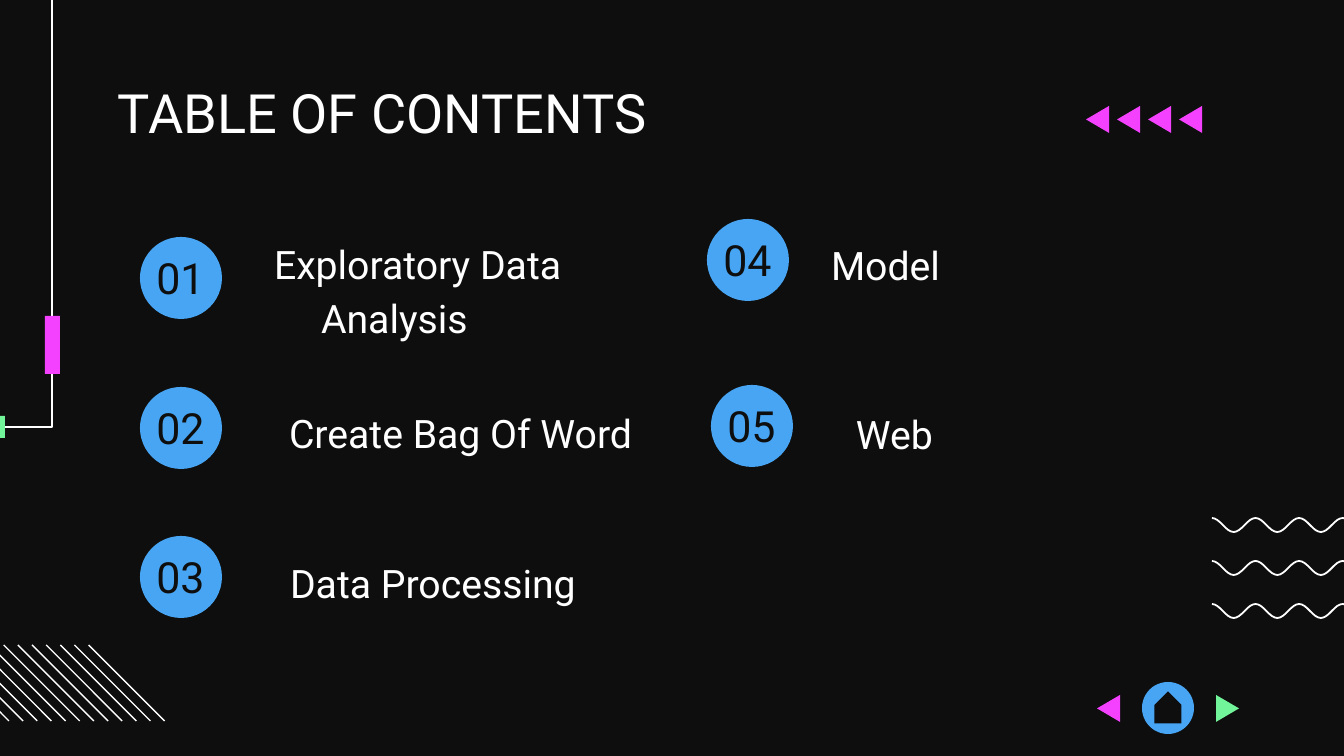
from math import cos, pi
from lxml.etree import SubElement
from pptx import Presentation
from pptx.dml.color import RGBColor
from pptx.enum.shapes import MSO_CONNECTOR, MSO_SHAPE
from pptx.enum.text import MSO_ANCHOR, MSO_AUTO_SIZE, PP_ALIGN
from pptx.oxml.ns import qn
from pptx.util import Pt

BLACK = RGBColor(0x0E, 0x0E, 0x0E)
WHITE = RGBColor(0xFF, 0xFF, 0xFF)
BLUE = RGBColor(0x47, 0xA5, 0xF3)
PINK = RGBColor(0xF3, 0x41, 0xFF)
GREEN = RGBColor(0x72, 0xF4, 0x9A)

TITLE = "TABLE OF CONTENTS"
HANG = (67, -47)
FLUSH = (0, 0)
# label, circle corner, label box, top inset, indents
TOPICS = [
    ("Exploratory Data Analysis", (140, 237), (241, 233, 425, 101), 0, HANG),
    ("Create Bag Of Word", (140, 387), (276, 402, 456, 52), 0, FLUSH),
    ("Data Processing", (140, 536), (257, 552, 431, 52), 0, HANG),
    ("Model", (707, 219), (808, 234, 431, 52), 0, (10, 0)),
    ("Web", (711, 385), (823, 390, 425, 52), 13, HANG),
]
BARS = [(-16, 416, 21, 22, GREEN), (45, 316, 15, 58, PINK)]
ARROWS = [(1086 + 31 * i, 106, True, PINK) for i in range(4)]
ARROWS += [(1097, 695, True, PINK), (1216, 695, False, GREEN)]
WAVES = [518, 561, 604]


def px(n):
    return round(n * 9144000 / 1344)


def paint(shape, color):
    shape.shadow.inherit = False
    shape.fill.solid()
    shape.fill.fore_color.rgb = color
    shape.line.fill.background()


def solid(kind, x, y, w, h, color):
    shape = slide.shapes.add_shape(kind, px(x), px(y), px(w), px(h))
    paint(shape, color)
    return shape


def outline(points, close):
    points = [(px(x), px(y)) for x, y in points]
    pen = slide.shapes.build_freeform(*points[0])
    pen.add_line_segments(points[1:], close=close)
    return pen.convert_to_shape()


def stroke(points, width):
    shape = outline(points, False)
    shape.shadow.inherit = False
    shape.fill.background()
    shape.line.color.rgb = WHITE
    shape.line.width = Pt(width)


def write(shape, text, box, size, color, top=0, align=PP_ALIGN.LEFT):
    shape.left, shape.top, shape.width, shape.height = map(px, box)
    frame = shape.text_frame
    frame.text = text
    frame.word_wrap = True
    frame.auto_size = MSO_AUTO_SIZE.NONE
    frame.vertical_anchor = MSO_ANCHOR.TOP
    frame.margin_left = frame.margin_right = frame.margin_bottom = px(13)
    frame.margin_top = px(top)
    para = frame.paragraphs[0]
    para.alignment = align
    para.space_before = Pt(0)
    para.font.name = "Roboto"
    para.font.size = Pt(size)
    para.font.bold = False
    para.font.color.rgb = color
    return para


def textbox():
    return slide.shapes.add_textbox(0, 0, 0, 0)


deck = Presentation()
deck.slide_width, deck.slide_height = px(1344), px(756)
slide = deck.slides.add_slide(deck.slide_layouts.get_by_name("Comparison"))
slide.background.fill.solid()
slide.background.fill.fore_color.rgb = BLACK
head, *bodies = [p for p in slide.placeholders if p.placeholder_format.idx < 10]

for y in WAVES:
    stroke([(1212 + 21.8 * i / 8, y + 7 - 7 * cos(pi * i / 8))
            for i in range(7 * 8 + 1)], 0.95)

for i in range(12):
    x = -67 + 14.15 * i
    line = slide.shapes.add_connector(
        MSO_CONNECTOR.STRAIGHT, px(x), px(645), px(x + 76), px(721))
    line.line.color.rgb = WHITE
    line.line.width = Pt(0.75)
    SubElement(line.element.spPr, qn("a:effectLst"))

stroke([(0, 427), (52, 427), (52, 0)], 0.75)
for bar in BARS:
    solid(MSO_SHAPE.RECTANGLE, *bar)

write(head, TITLE, (105, 79, 1134, 62), 29, WHITE)

for n, (label, (x, y), box, top, (left, first)) in enumerate(TOPICS):
    solid(MSO_SHAPE.OVAL, x, y, 82, 82, BLUE)
    write(textbox(), f"{n + 1:02}", (x - 20, y - 12, 121, 82), 23, BLACK,
          27, PP_ALIGN.CENTER)
    shape = bodies[n] if n < len(bodies) else textbox()
    para = write(shape, label, box, 21, WHITE, top)
    para.line_spacing = 1.15
    props = para._p.get_or_add_pPr()
    props.set("marL", str(px(left)))
    props.set("indent", str(px(first)))
    props.insert_element_before(
        props.makeelement(qn("a:buNone")), "a:tabLst", "a:defRPr", "a:extLst")

for x, y, back, color in ARROWS:
    base, tip = (x + 23, x) if back else (x, x + 23)
    paint(outline([(base, y), (tip, y + 13.5), (base, y + 27)], True), color)

solid(MSO_SHAPE.OVAL, 1142, 682, 52, 52, BLUE)
home = solid(MSO_SHAPE.PENTAGON, 1152, 694, 32, 27, BLACK)
home.rotation = 270

deck.save("out.pptx")
